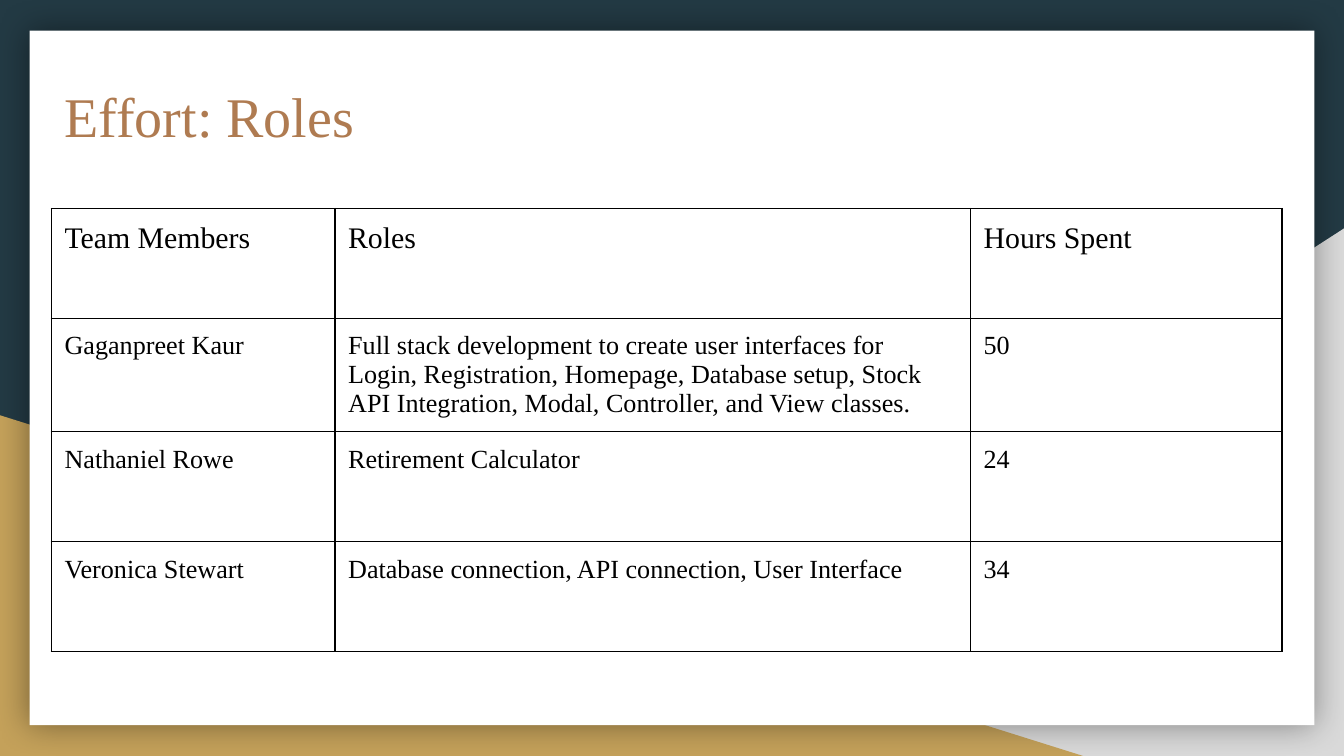
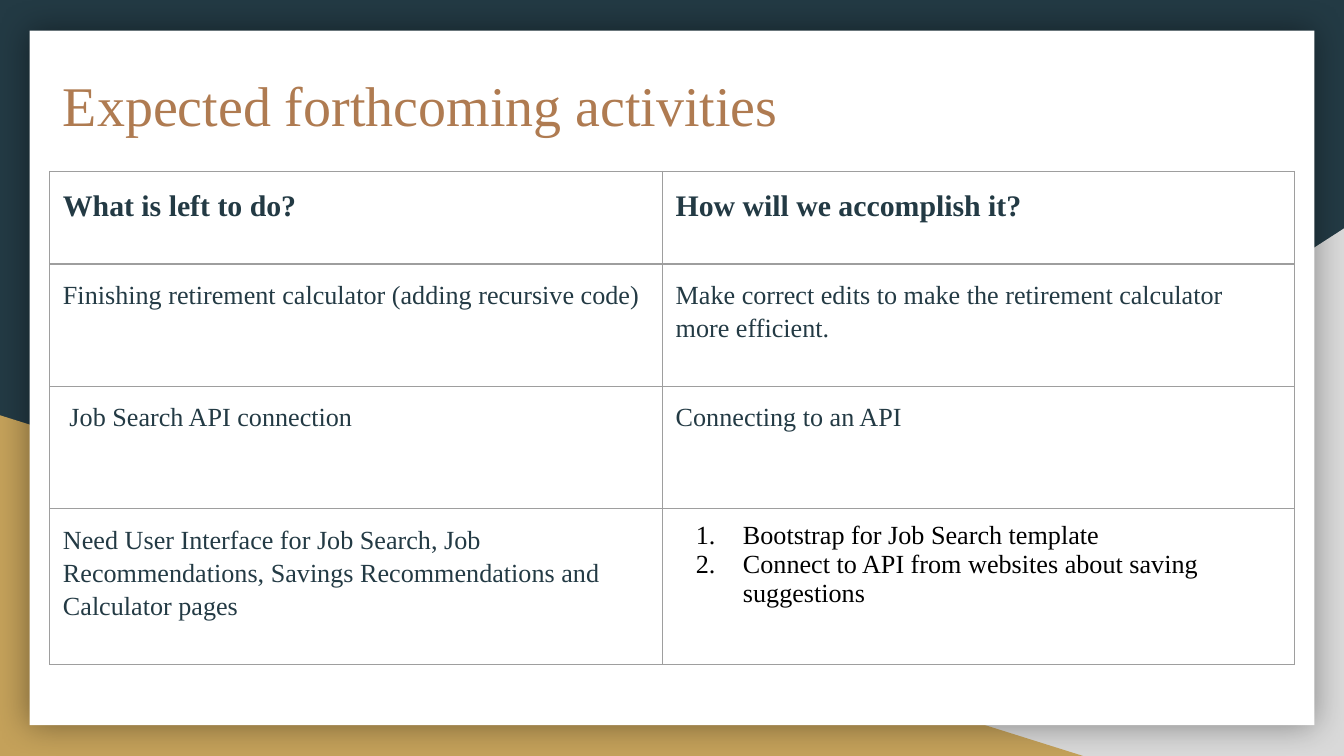
import pptx
import pptx.dml.color
import pptx.enum.shapes
import pptx.enum.text
import pptx.oxml
import pptx.oxml.ns
import pptx.util
from pptx.dml.color import RGBColor
from pptx.util import Cm, Pt

NAVY = RGBColor(0x23, 0x3A, 0x44)
GOLD = RGBColor(0xC4, 0xA1, 0x5A)
GREY = RGBColor(0xD9, 0xD9, 0xD9)
RULE = RGBColor(0x9E, 0x9E, 0x9E)
BROWN = RGBColor(0xAF, 0x7B, 0x51)
WHITE = RGBColor(0xFF, 0xFF, 0xFF)
BLACK = RGBColor(0, 0, 0)
FONT = "Times New Roman"
W, H = 25.4, 14.29
INSET = Cm(0.25)


def add_xml(parent, xml):
    """Append a DrawingML fragment, given without its namespace."""
    tag, rest = xml[:xml.index(" ")], xml[xml.index(" "):]
    ns = pptx.oxml.ns.nsdecls("a")
    parent.append(pptx.oxml.parse_xml(f"{tag} {ns}{rest}"))


def format_text(p, size, color, bold=False):
    for r in p.runs:
        r.font.name = FONT
        r.font.size = Pt(size)
        r.font.color.rgb = color
        r.font.bold = bold


# A cell is a string, or a tuple of numbered items.
slides = [
    dict(
        title="Effort: Roles", title_at=(0.97, 1.19), table_at=(0.97, 3.94),
        cols=(5.36, 12.01, 5.89), rows=(2.08, 2.08, 2.08, 2.08),
        border=BLACK, color=BLACK, bold_header=False, spacing=1.0,
        cells=[
            ("Team Members", "Roles", "Hours Spent"),
            ("Gaganpreet Kaur",
             "Full stack development to create user interfaces for Login, "
             "Registration, Homepage, Database setup, Stock API Integration, "
             "Modal, Controller, and View classes.", "50"),
            ("Nathaniel Rowe", "Retirement Calculator", "24"),
            ("Veronica Stewart",
             "Database connection, API connection, User Interface", "34"),
        ]),
    dict(
        title="Expected forthcoming activities",
        title_at=(0.94, 0.99), table_at=(0.94, 3.24),
        cols=(11.58, 11.94), rows=(1.75, 2.31, 2.31, 2.95),
        border=RULE, color=NAVY, bold_header=True, spacing=1.15,
        cells=[
            ("What is left to do?", "How will we accomplish it?"),
            ("Finishing retirement calculator (adding recursive code)",
             "Make correct edits to make the retirement calculator "
             "more efficient."),
            (" Job Search API connection", "Connecting to an API"),
            ("Need User Interface for Job Search, Job Recommendations, "
             "Savings Recommendations and Calculator pages",
             ("Bootstrap for Job Search template",
              "Connect to API from websites about saving suggestions")),
        ]),
]

prs = pptx.Presentation()
prs.slide_width, prs.slide_height = Cm(W), Cm(H)
layout = prs.slide_layouts[5]
layout.background.fill.solid()
layout.background.fill.fore_color.rgb = NAVY

for number, spec_ in enumerate(slides):
    s = prs.slides.add_slide(layout)

    if number == 0:
        # Shared backdrop: drawn once, then moved to the layout.
        SHAPE = pptx.enum.shapes.MSO_SHAPE
        backdrop = [
            (SHAPE.RIGHT_TRIANGLE, 9.96, 4.32, W - 9.96, H - 4.32, GREY),
            (SHAPE.RIGHT_TRIANGLE, 0, 7.85, 20.47, H - 7.85, GOLD),
            (SHAPE.RECTANGLE, 0.56, 0.58, W - 2 * 0.56, H - 2 * 0.58, WHITE),
        ]
        for i, (kind, x, y, w, h, color) in enumerate(backdrop):
            sp = s.shapes.add_shape(kind, Cm(x), Cm(y), Cm(w), Cm(h))
            sp.fill.solid()
            sp.fill.fore_color.rgb = color
            sp.line.fill.background()
            if color == GREY:
                sp.element.spPr.get_or_add_xfrm().set("flipH", "1")
            if color == WHITE:
                add_xml(sp.element.spPr,
                        '<a:effectLst ><a:outerShdw '
                        f'blurRad="{Pt(18)}" dist="0" dir="0" algn="ctr" '
                        'rotWithShape="0"><a:srgbClr val="000000">'
                        '<a:alpha val="40000"/></a:srgbClr>'
                        '</a:outerShdw></a:effectLst>')
            else:
                sp.shadow.inherit = False
            layout.shapes.element.insert(2 + i, sp.element)

    title = s.shapes.title
    title.left, title.top = map(Cm, spec_["title_at"])
    title.width, title.height = Cm(20.85), Cm(1.96)
    tf = title.text_frame
    tf.text = spec_["title"]
    tf.margin_left = tf.margin_right = INSET
    tf.margin_top = tf.margin_bottom = INSET
    tf.vertical_anchor = pptx.enum.text.MSO_ANCHOR.MIDDLE
    p = tf.paragraphs[0]
    p.alignment = pptx.enum.text.PP_ALIGN.LEFT
    format_text(p, 30, BROWN)

    cols, rows = spec_["cols"], spec_["rows"]
    x, y = spec_["table_at"]
    table = s.shapes.add_table(len(rows), len(cols), Cm(x), Cm(y),
                               Cm(sum(cols)), Cm(sum(rows))).table
    table.first_row = table.horz_banding = False
    for col, width in zip(table.columns, cols):
        col.width = Cm(width)
    for row, height in zip(table.rows, rows):
        row.height = Cm(height)

    for i, texts in enumerate(spec_["cells"]):
        for j, text in enumerate(texts):
            cell = table.cell(i, j)
            cell.margin_left = cell.margin_right = INSET
            cell.margin_top = cell.margin_bottom = INSET
            tcPr = cell._tc.get_or_add_tcPr()
            for side in "LRTB":
                add_xml(tcPr, f'<a:ln{side} w="{Pt(0.75)}"><a:solidFill>'
                              f'<a:srgbClr val="{spec_["border"]}"/>'
                              f'</a:solidFill></a:ln{side}>')
            cell.fill.background()

            numbered = isinstance(text, tuple)
            cell.text_frame.text = "\n".join(text) if numbered else text
            for p in cell.text_frame.paragraphs:
                if numbered:
                    format_text(p, 14, BLACK)
                    pPr = p._p.get_or_add_pPr()
                    pPr.set("marL", str(Cm(1.27)))
                    pPr.set("indent", str(-Cm(0.89)))
                    add_xml(pPr, '<a:buClr ><a:srgbClr val="000000"/></a:buClr>')
                    add_xml(pPr, f'<a:buFont typeface="{FONT}"/>')
                    add_xml(pPr, '<a:buAutoNum type="arabicPeriod"/>')
                else:
                    p.line_spacing = spec_["spacing"]
                    format_text(p, 14 if i else 16, spec_["color"],
                                spec_["bold_header"] and i == 0)

prs.save("out.pptx")
